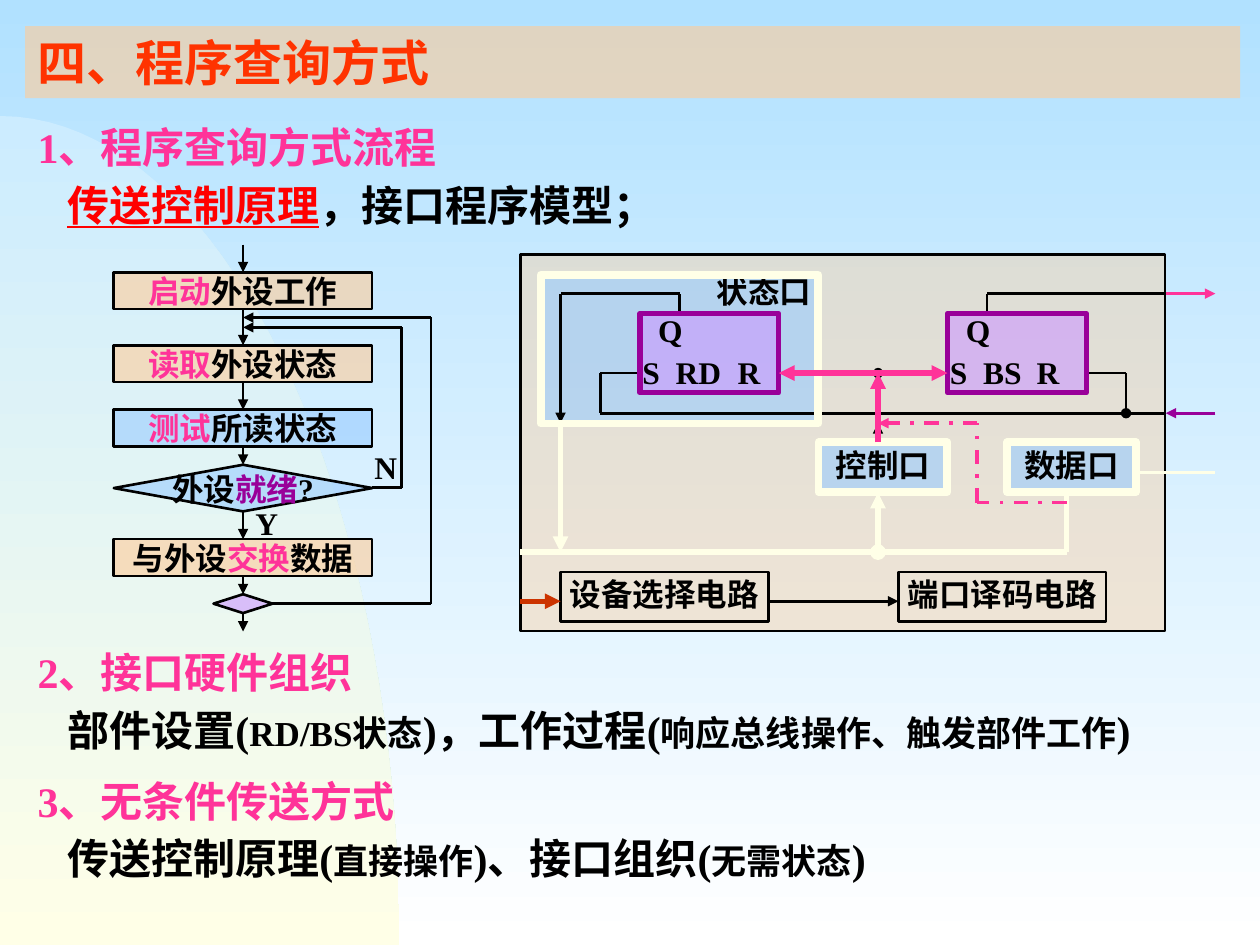
from dataclasses import dataclass

from lxml.etree import SubElement
from pptx import Presentation
from pptx.dml.color import RGBColor
from pptx.enum.dml import MSO_LINE
from pptx.enum.shapes import MSO_CONNECTOR, MSO_SHAPE
from pptx.enum.text import MSO_ANCHOR, PP_ALIGN
from pptx.oxml.ns import qn
from pptx.util import Cm, Pt


@dataclass(frozen=True)
class Theme:
    font: str = "Times New Roman"
    black: str = "000000"
    pink: str = "FF3399"
    red: str = "FF0000"
    orange: str = "FF3300"
    rust: str = "CC3300"
    purple: str = "990099"
    cream: str = "FFFFE7"
    peach: str = "FFCC99"
    blue: str = "99CCFF"
    violet: str = "CC99FF"
    sky: str = "B1E1FF"
    pale: str = "CCECFF"
    white: str = "FFFFFF"
    title: int = 28
    body: int = 24
    detail: int = 20
    label: int = 18


THEME = Theme()
TIGHT = (0.05, 0.03)
ROOMY = (0.25, 0.13)


def rgb(colour):
    return RGBColor.from_string(colour)


def set_values(target, values):
    for name, value in values.items():
        setattr(target, name, value)


def set_gradient(fill, start, end):
    fill.gradient()
    fill.gradient_angle = 270
    for stop, colour in zip(fill.gradient_stops, (start, end)):
        stop.color.rgb = rgb(colour)


def add_box(page, place, fill=None, line=THEME.black, width=1.5, opacity=60, kind=MSO_SHAPE.RECTANGLE):
    box = page.shapes.add_shape(kind, *map(Cm, place))
    box.shadow.inherit = False
    if fill:
        box.fill.solid()
        box.fill.fore_color.rgb = rgb(fill)
        colour = box.fill._xPr.find(qn("a:solidFill"))[0]
        SubElement(colour, qn("a:alpha")).set("val", str(opacity * 1000))
    else:
        box.fill.background()
    if line:
        box.line.color.rgb = rgb(line)
        box.line.width = Pt(width)
    else:
        box.line.fill.background()
    return box


def set_frame(box, margins=TIGHT, anchor=MSO_ANCHOR.MIDDLE):
    side, edge = map(Cm, margins)
    set_values(box.text_frame, {
        "word_wrap": True, "vertical_anchor": anchor, "margin_left": side,
        "margin_right": side, "margin_top": edge, "margin_bottom": edge})


def add_spans(para, spans, size=THEME.label, align=PP_ALIGN.CENTER, spacing=1.0, indent=0, tabs=()):
    set_values(para, {"alignment": align, "line_spacing": spacing})
    properties = para._p.get_or_add_pPr()
    if indent:
        properties.set("marL", str(int(Cm(indent))))
    if tabs:
        stops = SubElement(properties, qn("a:tabLst"))
        for tab in tabs:
            stop = SubElement(stops, qn("a:tab"))
            stop.set("pos", str(int(Cm(tab))))
            stop.set("algn", "l")
    for text, colour, *extra in spans:
        span = para.add_run()
        span.text = text
        values = {"name": THEME.font, "size": Pt(size), "bold": True}
        values.update(*extra)
        set_values(span.font, values)
        span.font.color.rgb = rgb(colour)


def add_label(page, place, spans, align=PP_ALIGN.CENTER, spacing=0.9, anchor=MSO_ANCHOR.MIDDLE):
    box = page.shapes.add_textbox(*map(Cm, place))
    set_frame(box, anchor=anchor)
    add_spans(box.text_frame.paragraphs[0], spans, align=align, spacing=spacing)


def add_named_box(page, place, spans, fill=None, spacing=0.9):
    box = add_box(page, place, fill)
    set_frame(box)
    add_spans(box.text_frame.paragraphs[0], spans, spacing=spacing)


def add_route(page, points, colour=THEME.black, width=1.5, head=None, tail=None, dash=None):
    last = len(points) - 2
    for index, (start, end) in enumerate(zip(points, points[1:])):
        wire = page.shapes.add_connector(MSO_CONNECTOR.STRAIGHT, *map(Cm, start + end))
        wire.line.color.rgb = rgb(colour)
        set_values(wire.line, {"width": Pt(width), "dash_style": dash})
        outline = wire.line._get_or_add_ln()
        ends = {"a:headEnd": head if index == 0 else None,
                "a:tailEnd": tail if index == last else None}
        for tag, shape in ends.items():
            if shape:
                SubElement(outline, qn(tag)).set("type", shape)
        SubElement(wire._element.spPr, qn("a:effectLst"))


def add_background(page):
    set_gradient(page.background.fill, THEME.sky, THEME.white)
    width, top, bottom, steps = 8.05, 2.34, 19.05, 40
    curve = []
    for step in range(1, steps + 1):
        t = step / steps
        x = width * (1.656 * t * (1 - t) ** 2 + 3 * t ** 2 * (1 - t) + t ** 3)
        y = top + (bottom - top) * (1.345 * t ** 2 * (1 - t) + t ** 3)
        curve.append((Cm(x), Cm(y)))
    builder = page.shapes.build_freeform(0, Cm(top))
    builder.add_line_segments(curve + [(0, Cm(bottom))], close=True)
    swoosh = builder.convert_to_shape()
    swoosh.shadow.inherit = False
    set_gradient(swoosh.fill, THEME.pale, THEME.cream)
    swoosh.line.fill.background()


def add_title(page):
    box = add_box(page, (0.51, 0.53, 24.49, 1.45), THEME.peach, line=None)
    set_frame(box, ROOMY, MSO_ANCHOR.TOP)
    add_spans(box.text_frame.paragraphs[0], [("四、程序查询方式", THEME.orange)], THEME.title, PP_ALIGN.LEFT)


def add_section(page, top, heading, spans):
    box = page.shapes.add_textbox(*map(Cm, (0.51, top, 24.49, 2.69)))
    set_frame(box, ROOMY, MSO_ANCHOR.TOP)
    frame = box.text_frame
    add_spans(frame.paragraphs[0], [(heading, THEME.pink)], THEME.body, PP_ALIGN.LEFT, 1.25)
    add_spans(frame.add_paragraph(), spans, THEME.body, PP_ALIGN.LEFT, 1.15, 0.6)


def add_flowchart(page):
    black, pink, middle = THEME.black, THEME.pink, 4.9
    steps = [
        (5.49, THEME.peach, [("启动", pink), ("外设工作", black)]),
        (6.96, THEME.peach, [("读取", pink), ("外设状态", black)]),
        (8.26, THEME.blue, [("测试", pink), ("所读状态", black)]),
        (10.87, THEME.peach, [("与外设", black), ("交换", pink), ("数据", black)])]
    for top, fill, spans in steps:
        add_named_box(page, (2.29, top, 5.21, 0.74), spans, fill, 1.0)
    decisions = [(9.37, 5.21, 0.94, THEME.blue), (11.98, 1.19, 0.38, THEME.violet)]
    for top, width, height, fill in decisions:
        add_box(page, (middle - width / 2, top, width, height), fill, kind=MSO_SHAPE.FLOWCHART_DECISION)
    extents = [(top, 0.74) for top, *_ in steps] + [(top, height) for top, _, height, _ in decisions]
    start = 4.93
    for top, height in sorted(extents) + [(12.73, 0)]:
        add_route(page, [(middle, start), (middle, top)], tail="triangle")
        start = top + height
    for left, bottom, right, top in [(7.5, 9.83, 8.1, 6.6), (5.49, 12.17, 8.69, 6.4)]:
        add_route(page, [(left, bottom), (right, bottom), (right, top), (middle, top)], tail="triangle")
    for place, letter in [((7.5, 9.19, 0.41, 0.56), "N"), ((5.1, 10.21, 0.41, 0.74), "Y")]:
        add_label(page, place, [(letter, black)], PP_ALIGN.LEFT)
    add_label(page, (3.3, 9.45, 3.2, 0.81), [("外设", black), ("就绪", THEME.purple), ("?", black)],
              spacing=1.0, anchor=MSO_ANCHOR.TOP)


def add_register(page, left, name, tabs):
    box = add_box(page, (left, 6.32, 2.8, 1.6), THEME.violet, THEME.purple, 3)
    set_frame(box, anchor=MSO_ANCHOR.TOP)
    frame = box.text_frame
    add_spans(frame.paragraphs[0], [("Q", THEME.black)], align=PP_ALIGN.LEFT, spacing=0.9, indent=0.32)
    add_spans(frame.add_paragraph(), [(f"S\t{name}\tR", THEME.black)], align=PP_ALIGN.LEFT, spacing=1.1, tabs=tabs)


def add_circuit(page):
    black, cream, pink = THEME.black, THEME.cream, THEME.pink
    add_box(page, (10.49, 5.13, 13, 7.59), THEME.peach, opacity=40)
    for left, name in [(11.3, "设备选择电路"), (18.11, "端口译码电路")]:
        add_named_box(page, (left, 11.53, 4.19, 1), [(name, black)])
    ports = [(16.5, "控制口"), (20.3, "数据口")]
    for left, name in ports:
        add_named_box(page, (left, 8.92, 2.6, 1), [(name, black)], THEME.blue)
    add_route(page, [(15.49, 12.12), (18.11, 12.12)], tail="triangle")
    add_route(page, [(10.49, 12.12), (11.3, 12.12)], THEME.rust, 3, tail="triangle")
    add_route(page, [(10.49, 11.13), (21.5, 11.13), (21.5, 9.93)], cream, 3)
    add_route(page, [(17.7, 11.13), (17.7, 9.93)], cream, 3, "oval", "triangle")
    add_route(page, [(11.3, 8.53), (11.3, 11.13)], cream, 3, tail="triangle")
    add_route(page, [(24.5, 9.53), (22.9, 9.53)], cream)
    status = (10.9, 5.54, 5.6, 3)
    add_box(page, status, THEME.blue)
    add_label(page, (14.3, 5.5, 2.2, 0.81), [("状态口", black)])
    add_route(page, [(17.7, 8.92), (17.7, 8.53)], tail="triangle")
    add_route(page, [(17.7, 7.52), (17.7, 8.53)], head="oval")
    add_route(page, [(21.9, 7.52), (22.7, 7.52), (22.7, 8.33)], tail="oval")
    add_route(page, [(12.9, 7.52), (12.1, 7.52), (12.1, 8.33), (23.5, 8.33)])
    add_route(page, [(13.7, 6.32), (13.7, 5.92), (11.3, 5.92), (11.3, 8.53)], tail="triangle")
    add_route(page, [(19.9, 6.32), (19.9, 5.92), (23.5, 5.92)])
    add_route(page, [(23.5, 5.92), (24.5, 5.92)], pink, tail="triangle")
    add_route(page, [(24.5, 8.33), (23.5, 8.33)], THEME.purple, tail="triangle")
    for left, _ in ports:
        add_box(page, (left, 8.92, 2.6, 1), line=cream, width=4.5)
    add_box(page, status, line=cream, width=4.5)
    add_register(page, 12.9, "RD", (0.67, 1.92))
    add_register(page, 19.1, "BS", (0.67, 1.75))
    add_route(page, [(17.7, 8.92), (17.7, 7.52)], pink, 3, tail="triangle")
    add_route(page, [(15.7, 7.52), (19.1, 7.52)], pink, 3, "triangle", "triangle")
    add_route(page, [(21.5, 10.13), (19.7, 10.13), (19.7, 8.53), (17.7, 8.53)], pink, 2,
              tail="triangle", dash=MSO_LINE.DASH_DOT)


def main():
    deck = Presentation()
    set_values(deck, {"slide_width": Cm(25.4), "slide_height": Cm(19.05)})
    page = deck.slides.add_slide(deck.slide_layouts[6])
    black, detail = THEME.black, {"size": Pt(THEME.detail)}
    add_background(page)
    add_title(page)
    add_section(page, 2.06, "1、程序查询方式流程", [
        ("传送控制原理", THEME.red, {"underline": True}), ("，接口程序模型；", black)])
    add_section(page, 12.65, "2、接口硬件组织", [
        ("部件设置(", black), ("RD/BS状态", black, detail), (")，工作过程(", black),
        ("响应总线操作、触发部件工作", black, detail), (")", black)])
    add_circuit(page)
    add_flowchart(page)
    add_section(page, 15.24, "3、无条件传送方式", [
        ("传送控制原理(", black), ("直接操作", black, detail), (")、接口组织(", black),
        ("无需状态", black, detail), (")", black)])
    deck.save("out.pptx")


if __name__ == "__main__":
    main()
